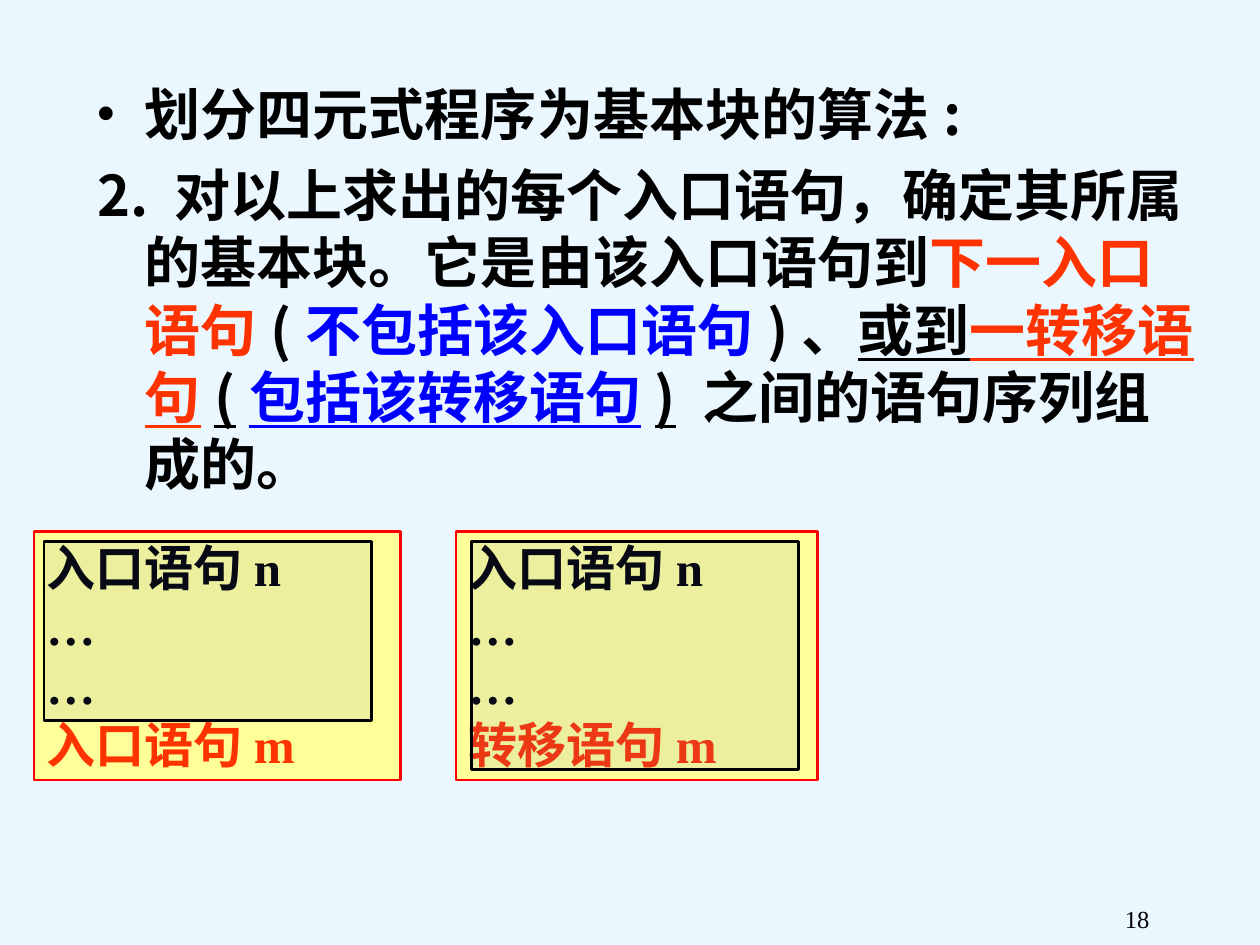
"""Build the slide on splitting quadruple programs into basic blocks."""
from lxml import etree
from pptx import Presentation
from pptx.dml.color import RGBColor
from pptx.enum import shapes, text
from pptx.oxml import ns
from pptx.util import Inches, Pt

BACKGROUND = RGBColor(0xEB, 0xF7, 0xFF)
BLACK = RGBColor(0x00, 0x00, 0x00)
ORANGE = RGBColor(0xFF, 0x33, 0x00)
BLUE = RGBColor(0x00, 0x00, 0xFF)
RED = RGBColor(0xFF, 0x00, 0x00)
YELLOW = RGBColor(0xFF, 0xFF, 0x99)
INDIGO = RGBColor(0x4E, 0x67, 0xC8)
SANS = "Noto Sans CJK SC"
SERIF = "Times New Roman"


def add_run(p, words, size, name, color=BLACK, bold=True, underline=None):
    r = p.add_run()
    r.text = words
    r.font.size = Pt(size)
    r.font.name = name
    r.font.bold = bold
    r.font.underline = underline
    r.font.color.rgb = color
    etree.SubElement(r.font._element, ns.qn("a:ea"), typeface=SANS)


def add_box(s, left, top, width, height, fill, line):
    sp = s.shapes.add_shape(shapes.MSO_SHAPE.RECTANGLE, Inches(left),
                            Inches(top), Inches(width), Inches(height))
    sp.shadow.inherit = False
    sp.fill.solid()
    sp.fill.fore_color.rgb = fill
    sp.line.color.rgb = line
    sp.line.width = Pt(1.5)
    return sp


prs = Presentation()
prs.slide_width = Inches(10)
prs.slide_height = Inches(7.5)
s = prs.slides.add_slide(prs.slide_layouts[1])
s.background.fill.solid()
s.background.fill.fore_color.rgb = BACKGROUND
title = s.shapes.title._element
title.getparent().remove(title)

body = s.placeholders[1]
body.left, body.top = Inches(0.67), Inches(0.58)
body.width, body.height = Inches(8.92), Inches(3.48)
tf = body.text_frame
tf.auto_size = text.MSO_AUTO_SIZE.NONE
tf.vertical_anchor = text.MSO_ANCHOR.TOP
heading, step = tf.paragraphs[0], tf.add_paragraph()
for p, space in ((heading, 0), (step, 8)):
    p.space_before = Pt(space)
    pPr = p._p.get_or_add_pPr()
    pPr.set("marL", str(Inches(0.38)))
    pPr.set("indent", str(Inches(-0.38)))

pPr = heading._p.get_or_add_pPr()
bullet_color = etree.SubElement(pPr, ns.qn("a:buClr"))
etree.SubElement(bullet_color, ns.qn("a:srgbClr"), val=str(BLACK))
etree.SubElement(pPr, ns.qn("a:buSzPct"), val="90000")
etree.SubElement(pPr, ns.qn("a:buChar"), char="•")
etree.SubElement(step._p.get_or_add_pPr(), ns.qn("a:buNone"))

add_run(heading, "划分四元式程序为基本块的算法:", 32, SANS)
for words, color, underline in (
    ("2. 对以上求出的每个入口语句，确定其所属的基本块。它是由该入口语句到", BLACK, None),
    ("下一入口语句", ORANGE, None),
    ("(", BLACK, None),
    ("不包括该入口语句", BLUE, None),
    (")、", BLACK, None),
    ("或到", BLACK, True),
    ("一转移语句", ORANGE, True),
    ("(", BLACK, True),
    ("包括该转移语句", BLUE, True),
    (")", BLACK, True),
    (" 之间的语句序列组成的。", BLACK, None),
):
    add_run(step, words, 32, SANS, color, underline=underline)

for left, width, last, block_left, block_height in (
    (0.27, 2.91, "入口语句m", 0.35, 1.42),
    (3.62, 2.87, "转移语句m", 3.74, 1.81),
):
    listing = add_box(s, left, 4.22, width, 1.97, YELLOW, RED)
    tf = listing.text_frame
    tf.word_wrap = True
    tf.vertical_anchor = text.MSO_ANCHOR.TOP
    for i, words in enumerate(("入口语句n", "…", "…", last)):
        p = tf.add_paragraph() if i else tf.paragraphs[0]
        p.alignment = text.PP_ALIGN.LEFT
        add_run(p, words, 28, SERIF, ORANGE if words == last else BLACK)

    block = add_box(s, block_left, 4.3, 2.6, block_height, INDIGO, BLACK)
    fill_color = block._element.spPr.find(ns.qn("a:solidFill"))[0]
    etree.SubElement(fill_color, ns.qn("a:alpha"), val="10000")

number = s.shapes.add_textbox(Inches(7.14), Inches(6.96), Inches(2.08), Inches(0.5))
tf = number.text_frame
tf.word_wrap = True
tf.vertical_anchor = text.MSO_ANCHOR.BOTTOM
p = tf.paragraphs[0]
p.alignment = text.PP_ALIGN.RIGHT
add_run(p, "18", 14, SERIF, bold=False)

prs.save("out.pptx")
